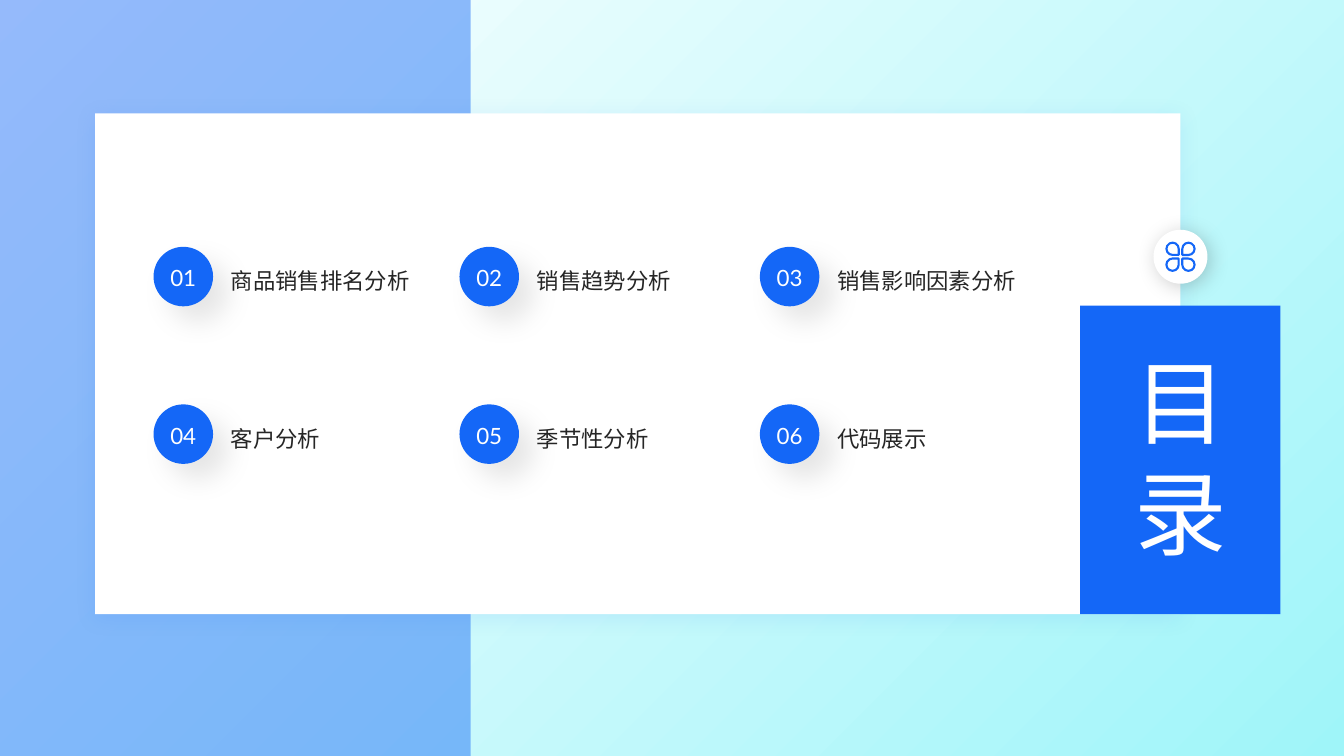
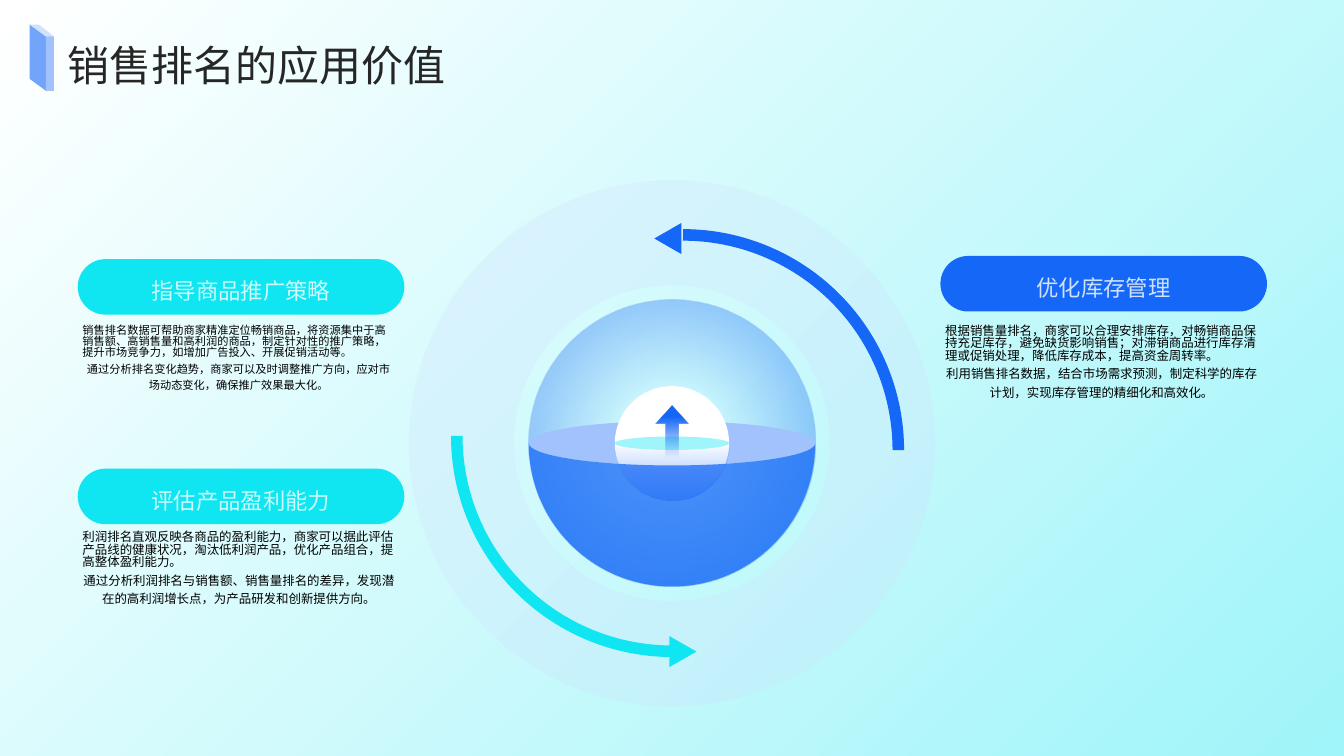
import math

import pptx
import pptx.dml.color
import pptx.enum.shapes
import pptx.enum.text
import pptx.oxml
import pptx.oxml.ns
import pptx.util

Cm, Pt = pptx.util.Cm, pptx.util.Pt
RGBColor = pptx.dml.color.RGBColor
SHAPE = pptx.enum.shapes.MSO_SHAPE
ALIGN = pptx.enum.text.PP_ALIGN
ANCHOR = pptx.enum.text.MSO_ANCHOR

BLUE = RGBColor(0x14, 0x67, 0xF7)
CYAN = RGBColor(0x0F, 0xE6, 0xF1)
PALE_CYAN = RGBColor(0x9F, 0xF5, 0xF9)
ICE = RGBColor(0xCF, 0xFA, 0xFC)
MID_BLUE = RGBColor(0x72, 0xA4, 0xFA)
SOFT_BLUE = RGBColor(0xA1, 0xC2, 0xFC)
PALE_BLUE = RGBColor(0xD0, 0xE1, 0xFD)
WHITE = RGBColor(0xFF, 0xFF, 0xFF)
BLACK = RGBColor(0, 0, 0)
INK = RGBColor(0x26, 0x26, 0x26)
KARLA, LATO, NOTO = "Karla", "Lato", "Noto Sans CJK SC"
WIDTH, HEIGHT = 33.87, 19.05


# Shared drawing helpers
def xml(text):
    return pptx.oxml.parse_xml(text.replace(">", " %s>" % pptx.oxml.ns.nsdecls("a"), 1))


def paint(sp, color, alpha=100):
    """Solid fill without outline or shadow."""
    sp.shadow.inherit = False
    sp.line.fill.background()
    if color is None:
        sp.fill.background()
        return sp
    sp.fill.solid()
    sp.fill.fore_color.rgb = color
    if alpha < 100:
        clr = sp._element.spPr.find(".//" + pptx.oxml.ns.qn("a:srgbClr"))
        clr.append(xml('<a:alpha val="%d"></a:alpha>' % (alpha * 1000)))
    return sp


def paint_fade(sp, stops, direction):
    """Gradient of one colour; stops are (position, alpha)."""
    paint(sp, None)
    gs = "".join('<a:gs pos="%d"><a:srgbClr val="%s"><a:alpha val="%d"/></a:srgbClr></a:gs>'
                 % (pos * 1000, BLUE, alpha * 1000) for pos, alpha in stops)
    fill = xml('<a:gradFill rotWithShape="1"><a:gsLst>%s</a:gsLst>%s</a:gradFill>' % (gs, direction))
    spPr = sp._element.spPr
    spPr.replace(spPr.find(pptx.oxml.ns.qn("a:noFill")), fill)


def linear(angle):
    return '<a:lin ang="%d" scaled="0"/>' % (angle * 60000)


def cast_shadow(sp, color, alpha, blur, dist, angle):
    effects = sp._element.spPr.find(pptx.oxml.ns.qn("a:effectLst"))
    effects.append(xml(
        '<a:outerShdw blurRad="%d" dist="%d" dir="%d" algn="ctr" rotWithShape="0">'
        '<a:srgbClr val="%s"><a:alpha val="%d"/></a:srgbClr></a:outerShdw>'
        % (Pt(blur), Pt(dist), angle * 60000, color, alpha * 1000)))


def add_shape(s, kind, x, y, w, h, color=None, alpha=100):
    return paint(s.shapes.add_shape(kind, Cm(x), Cm(y), Cm(w), Cm(h)), color, alpha)


def add_polygon(s, points, color=None, alpha=100):
    pts = [(Cm(x), Cm(y)) for x, y in points]
    builder = s.shapes.build_freeform(*pts[0])
    builder.add_line_segments(pts[1:])
    return paint(builder.convert_to_shape(), color, alpha)


def format_paragraph(p, font, size, color, align=ALIGN.LEFT, spacing=1.0):
    p.alignment = align
    p.line_spacing = spacing
    for r in p.runs:
        r.font.name = font
        r.font.size = Pt(size)
        r.font.color.rgb = color
        r._r.get_or_add_rPr().find(pptx.oxml.ns.qn("a:latin")).addnext(
            xml('<a:ea typeface="%s"></a:ea>' % font))


def set_text(sp, text, *style, anchor=ANCHOR.MIDDLE, inset=None):
    tf = sp.text_frame
    tf.word_wrap = True
    tf.auto_size = pptx.enum.text.MSO_AUTO_SIZE.NONE
    tf.vertical_anchor = anchor
    if inset is not None:
        tf.margin_left = tf.margin_right = tf.margin_top = tf.margin_bottom = Cm(inset)
    tf.text = text
    for p in tf.paragraphs:
        format_paragraph(p, *style)


def add_label(s, x, y, w, h, text, *style, anchor=ANCHOR.MIDDLE):
    sp = s.shapes.add_textbox(Cm(x), Cm(y), Cm(w), Cm(h))
    set_text(sp, text, *style, anchor=anchor)
    return sp


def place_title(s, x, y, w, h, text, *style):
    sp = s.shapes.title
    sp.left, sp.top, sp.width, sp.height = Cm(x), Cm(y), Cm(w), Cm(h)
    set_text(sp, text, *style, anchor=ANCHOR.TOP, inset=0)
    s.shapes._spTree.append(sp._element)  # title goes in front


def set_background(prs):
    fill = prs.slide_master.background.fill
    fill.gradient()
    fill.gradient_angle = 315
    for stop, pos, color in zip(fill.gradient_stops, (0, 1), (WHITE, PALE_CYAN)):
        stop.position = pos
        stop.color.rgb = color


# Contents slide
def add_flower(s, cx, cy):
    disc = add_shape(s, SHAPE.OVAL, cx - 0.68, cy - 0.68, 1.36, 1.36, WHITE)
    cast_shadow(disc, BLACK, 20, 15, 3, 45)
    size, gap = 0.31, 0.2
    for dx, dy, turn in ((-1, -1, 90), (1, -1, 180), (1, 1, 270), (-1, 1, 0)):
        petal = add_shape(s, SHAPE.TEAR, cx + dx * gap - size / 2, cy + dy * gap - size / 2, size, size)
        petal.rotation = turn
        petal.line.color.rgb = BLUE
        petal.line.width = Pt(1.5)


def add_entry(s, x, y, number, text):
    badge = add_shape(s, SHAPE.OVAL, x, y, 1.5, 1.5, BLUE)
    cast_shadow(badge, BLACK, 10, 20, 15, 45)
    set_text(badge, number, LATO, 16, WHITE, ALIGN.CENTER, 1.1, inset=0)
    add_label(s, x + 1.7, y - 0.53, 5.8, 2.56, text, KARLA, 16, INK, ALIGN.LEFT, 1.3)


def build_contents(s):
    add_shape(s, SHAPE.RECTANGLE, 0, 0, 11.86, HEIGHT, BLUE, 45)
    card = add_shape(s, SHAPE.RECTANGLE, 2.4, 2.86, 27.35, 12.62, WHITE)
    cast_shadow(card, BLUE, 10, 15, 3, 90)
    add_shape(s, SHAPE.RECTANGLE, 27.22, 7.7, 5.05, 7.78, BLUE)
    add_flower(s, 29.75, 6.47)
    entries = ("商品销售排名分析", "销售趋势分析", "销售影响因素分析",
               "客户分析", "季节性分析", "代码展示")
    columns, rows = (3.87, 11.58, 19.15), (6.22, 10.19)
    for i, text in enumerate(entries):
        add_entry(s, columns[i % 3], rows[i // 3], "%02d" % (i + 1), text)
    place_title(s, 28.02, 8.69, 3.45, 5.64, "目录", KARLA, 66, WHITE, ALIGN.CENTER)


# Value slide
def add_title_mark(s, x, y):
    near, mid, far, drop, h = x, x + 0.41, x + 0.61, 0.3, 1.67
    add_polygon(s, [(near, y), (mid, y + drop), (mid, y + h), (near, y + h - drop)], MID_BLUE)
    add_polygon(s, [(near, y), (x + 0.23, y), (far, y + drop), (mid, y + drop)], PALE_BLUE)
    add_shape(s, SHAPE.RECTANGLE, mid, y + drop, far - mid, h - drop, SOFT_BLUE)


def add_ellipse(s, cx, cy, rx, ry, color=None):
    return add_shape(s, SHAPE.OVAL, cx - rx, cy - ry, 2 * rx, 2 * ry, color)


def add_bowl(s, cx, cy, r, rim, color=None, alpha=100):
    """Lower half of a ball, cut at the top along an elliptical rim."""
    turns = [math.pi * i / 60 for i in range(61)]
    outer = [(cx + r * math.cos(t), cy + r * math.sin(t)) for t in turns]
    inner = [(cx + r * math.cos(t), cy + rim * math.sin(t)) for t in reversed(turns)]
    return add_polygon(s, outer + inner, color, alpha)


def add_ball(s, cx, cy):
    r, rim, core, core_rim = 3.61, 0.56, 1.44, 0.17
    paint_fade(add_ellipse(s, cx, cy, r, r), ((23, 0), (100, 54)),
               '<a:path path="circle"><a:fillToRect l="50000" t="50000" r="50000" b="50000"/></a:path>')
    add_ellipse(s, cx, cy, r, rim, SOFT_BLUE)
    add_ellipse(s, cx, cy, core, core, WHITE)
    add_ellipse(s, cx, cy, core, core_rim, PALE_CYAN)
    paint_fade(add_bowl(s, cx, cy, core, core_rim), ((0, 0), (100, 54)), linear(90))
    add_bowl(s, cx, cy, r, rim, BLUE, 73)
    arrow = add_shape(s, SHAPE.UP_ARROW, cx - 0.41, cy - 0.94, 0.82, 1.35)
    arrow.adjustments[0], arrow.adjustments[1] = 0.4, 0.56
    paint_fade(arrow, ((4, 0), (79, 100)), linear(270))


def add_sweep(s, x, y, turn, color, tip_x, tip_y):
    """Quarter arc with a triangular tip centred on (tip_x, tip_y)."""
    arc = add_shape(s, SHAPE.ARC, x, y, 10.85, 10.85)
    arc.rotation = turn
    arc.line.color.rgb = color
    arc.line.width = Pt(8.25)
    tip = add_shape(s, SHAPE.ISOSCELES_TRIANGLE, tip_x - 0.39, tip_y - 0.34, 0.78, 0.68, color)
    tip.rotation = (turn + 270) % 360


def add_topic(s, x, y, body_y, fill, color, size, head, body):
    pill = add_shape(s, SHAPE.ROUNDED_RECTANGLE, x, y, 8.23, 1.4, fill)
    pill.adjustments[0] = 0.5
    set_text(pill, head, NOTO, 16, color, ALIGN.CENTER, 1.3, inset=0)
    box = add_label(s, x - 0.13, body_y, 8.38, 2.92, body, NOTO, size, BLACK,
                    ALIGN.CENTER, 1.23, anchor=ANCHOR.TOP)
    p = box.text_frame.paragraphs[0]
    p.alignment = ALIGN.LEFT
    p.line_spacing = 0.83


def build_value(s):
    cx, cy = WIDTH / 2, 11.17
    ring = add_shape(s, SHAPE.DONUT, cx - 6.63, cy - 6.63, 13.26, 13.26, PALE_BLUE, 27)
    ring.adjustments[0] = 0.2
    add_ball(s, cx, cy)
    add_sweep(s, 11.79, 5.92, 0, BLUE, 16.83, 6.01)
    add_sweep(s, 11.51, 5.56, 180, CYAN, 17.21, 16.42)
    topics = (
        (1.96, 6.53, 8.08, CYAN, ICE, 8, "指导商品推广策略",
         "销售排名数据可帮助商家精准定位畅销商品，将资源集中于高销售额、高销售量和高利润的商品，"
         "制定针对性的推广策略，提升市场竞争力，如增加广告投入、开展促销活动等。\n"
         "通过分析排名变化趋势，商家可以及时调整推广方向，应对市场动态变化，确保推广效果最大化。"),
        (1.96, 11.81, 13.28, CYAN, ICE, 8.9, "评估产品盈利能力",
         "利润排名直观反映各商品的盈利能力，商家可以据此评估产品线的健康状况，淘汰低利润产品，"
         "优化产品组合，提高整体盈利能力。\n"
         "通过分析利润排名与销售额、销售量排名的差异，发现潜在的高利润增长点，为产品研发和创新提供方向。"),
        (23.7, 6.45, 8.08, BLUE, PALE_BLUE, 8.9, "优化库存管理",
         "根据销售量排名，商家可以合理安排库存，对畅销商品保持充足库存，避免缺货影响销售；"
         "对滞销商品进行库存清理或促销处理，降低库存成本，提高资金周转率。\n"
         "利用销售排名数据，结合市场需求预测，制定科学的库存计划，实现库存管理的精细化和高效化。"),
    )
    for topic in topics:
        add_topic(s, *topic)
    add_title_mark(s, 0.75, 0.62)
    place_title(s, 1.7, 0.99, 30, 1.27, "销售排名的应用价值", NOTO, 30, INK)


def main():
    prs = pptx.Presentation()
    prs.slide_width, prs.slide_height = Cm(WIDTH), Cm(HEIGHT)
    set_background(prs)
    for build in (build_contents, build_value):
        build(prs.slides.add_slide(prs.slide_layouts[5]))
    prs.save("out.pptx")


if __name__ == "__main__":
    main()
